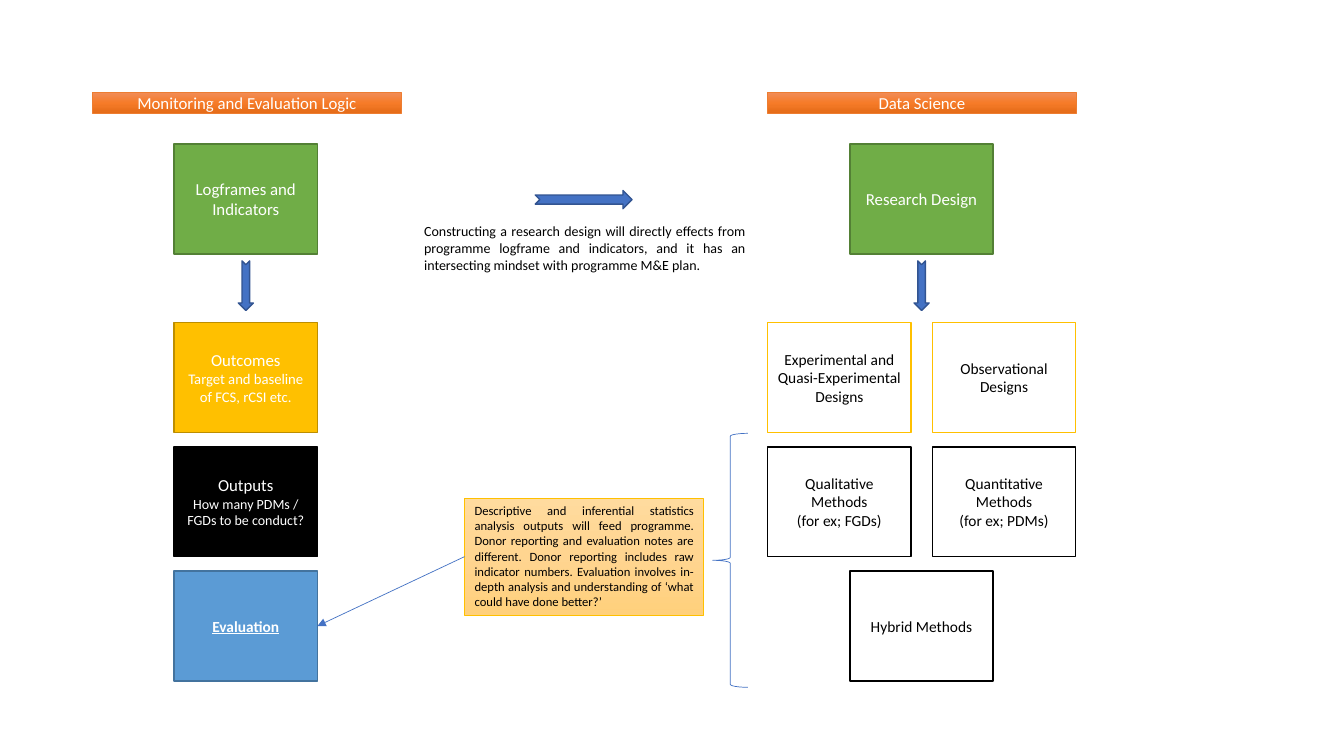
"""Builds a slide that links monitoring and evaluation logic to data science."""
from copy import deepcopy

from lxml import etree
from pptx import Presentation
from pptx.dml.color import RGBColor
from pptx.enum.shapes import MSO_CONNECTOR, MSO_SHAPE
from pptx.enum.text import MSO_ANCHOR, MSO_AUTO_SIZE, PP_ALIGN
from pptx.oxml.ns import qn
from pptx.util import Cm, Pt

RECT, ARROW, BRACE = MSO_SHAPE.RECTANGLE, MSO_SHAPE.NOTCHED_RIGHT_ARROW, MSO_SHAPE.LEFT_BRACE
STRAIGHT = MSO_CONNECTOR.STRAIGHT
TOP, MIDDLE = MSO_ANCHOR.TOP, MSO_ANCHOR.MIDDLE
GROW, FIXED = MSO_AUTO_SIZE.SHAPE_TO_FIT_TEXT, MSO_AUTO_SIZE.NONE
CENTER, JUSTIFY = PP_ALIGN.CENTER, PP_ALIGN.JUSTIFY
LEFT, RIGHT = 1, 3

COLORS = {
    "white": "FFFFFF", "black": "000000", "green": "70AD47", "moss": "538035",
    "gold": "FFC000", "ochre": "BD8E00", "sky": "5B9BD5", "steel": "43739E",
    "blue": "4472C4", "navy": "325491", "orange": "ED7D31",
    "bar1": "F18C57", "bar2": "F67B28", "bar3": "E56C19",
    "note1": "FFDB9E", "note2": "FFD590", "note3": "FFD07C",
}
BAR = ("bar1", "bar2", "bar3")
NOTE = ("note1", "note2", "note3")

BOX_W, BOX_H, BAR_W = 3.61, 2.77, 7.77
LOGIC_X, WEST_X, EAST_X, MID_X = 4.39, 19.35, 23.5, 21.42
HEAD_Y = 3.63
ROWS = [8.13 + 3.13 * i for i in range(3)]


class Board:
    """Holds the style and the current slide."""

    def __init__(self, slide, font):
        self.slide, self.font = slide, font

    def tint(self, name):
        return RGBColor.from_string(COLORS[name])

    def paint(self, shape, fill):
        if fill is None:
            shape.fill.background()
        elif isinstance(fill, str):
            shape.fill.solid()
            shape.fill.fore_color.rgb = self.tint(fill)
        else:
            shape.fill.gradient()
            shape.fill.gradient_angle = 270
            stops = shape.element.spPr.find(".//" + qn("a:gsLst"))
            stops.append(deepcopy(stops[0]))
            for i, (stop, name) in enumerate(zip(shape.fill.gradient_stops, fill)):
                stop.position = i / 2
                stop.color.rgb = self.tint(name)

    def shape(self, kind, at, fill, line, width=1.0, turn=0):
        item = self.slide.shapes.add_shape(kind, *map(Cm, at))
        item.shadow.inherit = False
        item.rotation = turn
        self.paint(item, fill)
        item.line.color.rgb = self.tint(line)
        item.line.width = Pt(width)
        return item

    def letter(self, item, lines, color, align=CENTER, anchor=MIDDLE, fit=FIXED, **style):
        frame = item.text_frame
        layout = {"word_wrap": True, "vertical_anchor": anchor, "auto_size": fit}
        for key, value in layout.items():
            setattr(frame, key, value)
        for i, (text, size) in enumerate(lines):
            para = frame.add_paragraph() if i else frame.paragraphs[0]
            para.alignment = align
            run = para.add_run()
            run.text = text
            for key, value in {"name": self.font, "size": Pt(size), **style}.items():
                setattr(run.font, key, value)
            run.font.color.rgb = self.tint(color)

    def box(self, x, y, fill, line, color, *lines, **style):
        item = self.shape(RECT, (x, y, BOX_W, BOX_H), fill, line)
        self.letter(item, lines, color, **style)
        return item

    def bar(self, x, text):
        item = self.shape(RECT, (x, 2.34, BAR_W, 0.51), BAR, "orange", 0.5)
        self.letter(item, [(text, 12)], "white")

    def arrow(self, x, y, w, h, turn=0):
        self.shape(ARROW, (x - w / 2, y - h / 2, w, h), "blue", "navy", turn=turn)

    def note(self, at, text):
        item = self.shape(RECT, at, NOTE, "gold", 0.5)
        self.letter(item, [(text, 9)], "black", JUSTIFY, TOP, GROW)
        return item

    def label(self, at, text):
        item = self.slide.shapes.add_textbox(*map(Cm, at))
        self.letter(item, [(text, 10)], "black", JUSTIFY, TOP, GROW)

    def link(self, start, end):
        item = self.slide.shapes.add_connector(STRAIGHT, 0, 0, 0, 0)
        item.begin_connect(start, LEFT)
        item.end_connect(end, RIGHT)
        item.line.color.rgb = self.tint("blue")
        item.line.width = Pt(0.5)
        props = item.element.spPr
        etree.SubElement(props.find(qn("a:ln")), qn("a:tailEnd"), type="triangle")
        etree.SubElement(props, qn("a:effectLst"))


def main():
    deck = Presentation()
    deck.slide_width, deck.slide_height = Cm(33.87), Cm(19.05)
    board = Board(deck.slides.add_slide(deck.slide_layouts[6]), "Calibri")

    board.bar(2.34, "Monitoring and Evaluation Logic")
    board.bar(WEST_X, "Data Science")

    for x, text in ((LOGIC_X, "Logframes and Indicators"), (MID_X, "Research Design")):
        board.box(x, HEAD_Y, "green", "moss", "white", (text, 12))
        board.arrow(x + BOX_W / 2, 7.2, 1.25, 0.38, turn=90)
    board.arrow(14.71, 5.03, 2.44, 0.46)

    board.box(LOGIC_X, ROWS[0], "gold", "ochre", "white",
              ("Outcomes", 12), ("Target and baseline of FCS, rCSI etc.", 10.5))
    board.box(LOGIC_X, ROWS[1], "black", "black", "white",
              ("Outputs", 12), ("How many PDMs / FGDs to be conduct?", 10))
    review = board.box(LOGIC_X, ROWS[2], "sky", "steel", "white",
                       ("Evaluation", 11), bold=True, underline=True)

    methods = (
        (WEST_X, 0, "gold", "Experimental and Quasi-Experimental Designs"),
        (EAST_X, 0, "gold", "Observational Designs"),
        (WEST_X, 1, "black", "Qualitative Methods", "(for ex; FGDs)"),
        (EAST_X, 1, "black", "Quantitative Methods", "(for ex; PDMs)"),
        (MID_X, 2, "black", "Hybrid Methods"),
    )
    for x, row, line, *texts in methods:
        board.box(x, ROWS[row], "white", line, "black", *[(text, 11) for text in texts])

    board.shape(BRACE, (17.96, 10.92, 0.89, 6.4), None, "blue", 0.5)
    note = board.note((11.71, 12.55, 6.02, 2.95), (
        "Descriptive and inferential statistics analysis outputs will feed programme. "
        "Donor reporting and evaluation notes are different. Donor reporting includes raw "
        "indicator numbers. Evaluation involves in-depth analysis and understanding of "
        "‘what could have done better?’"))
    board.link(note, review)
    board.label((10.44, 5.49, 8.59, 1.55), (
        "Constructing a research design will directly effects from programme logframe and "
        "indicators, and it has an intersecting mindset with programme M&E plan."))

    deck.save("out.pptx")


if __name__ == "__main__":
    main()
